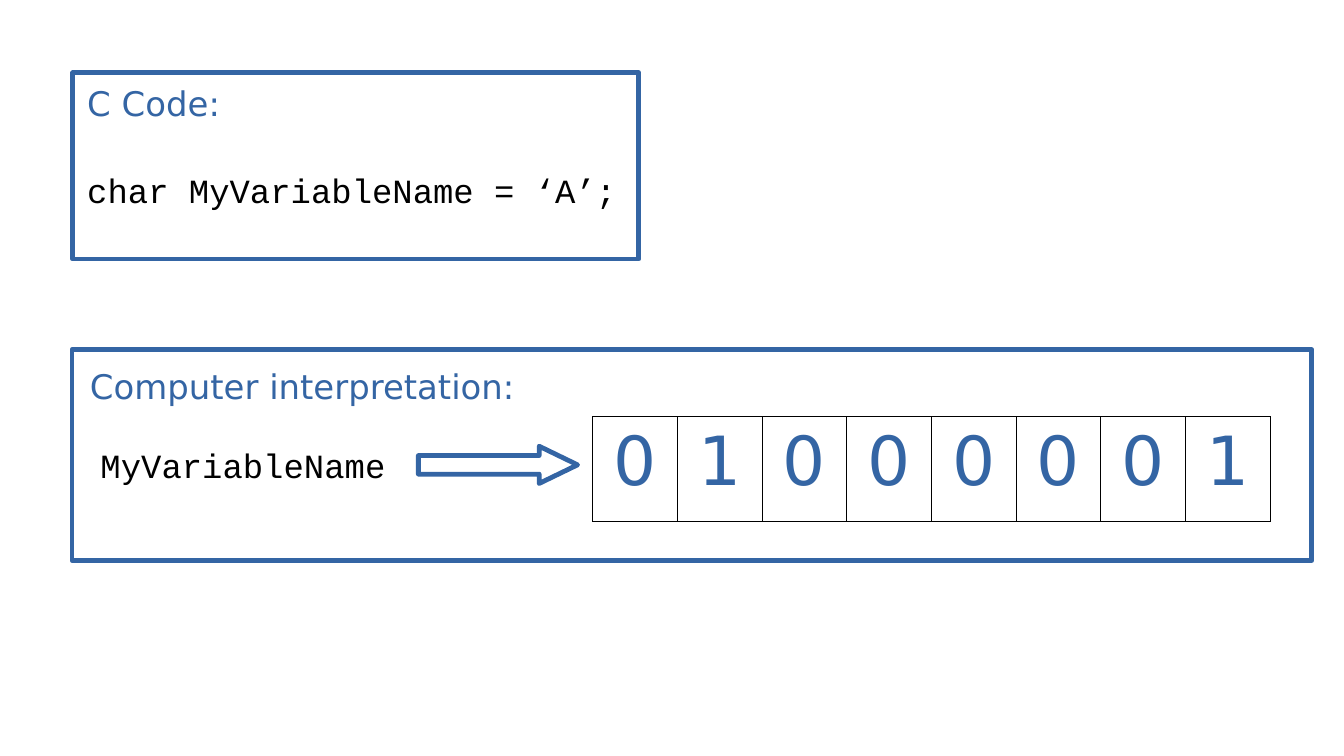
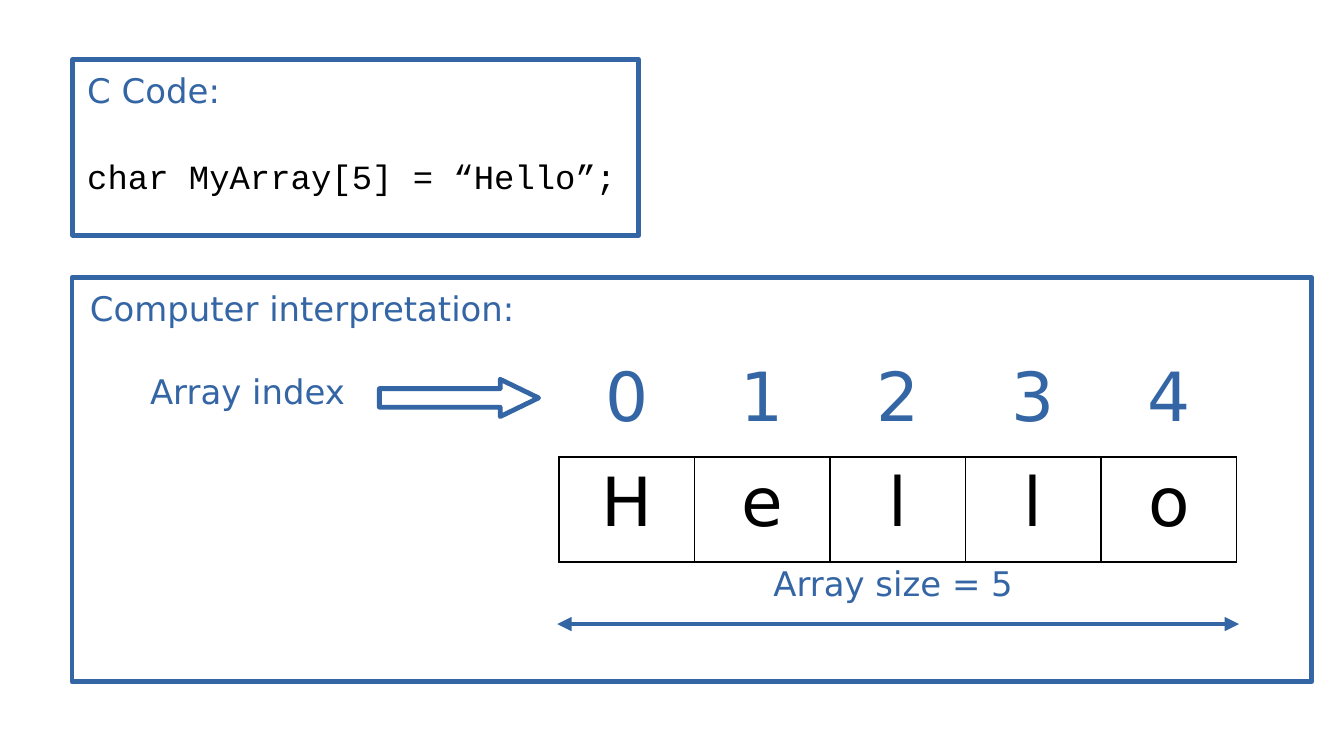
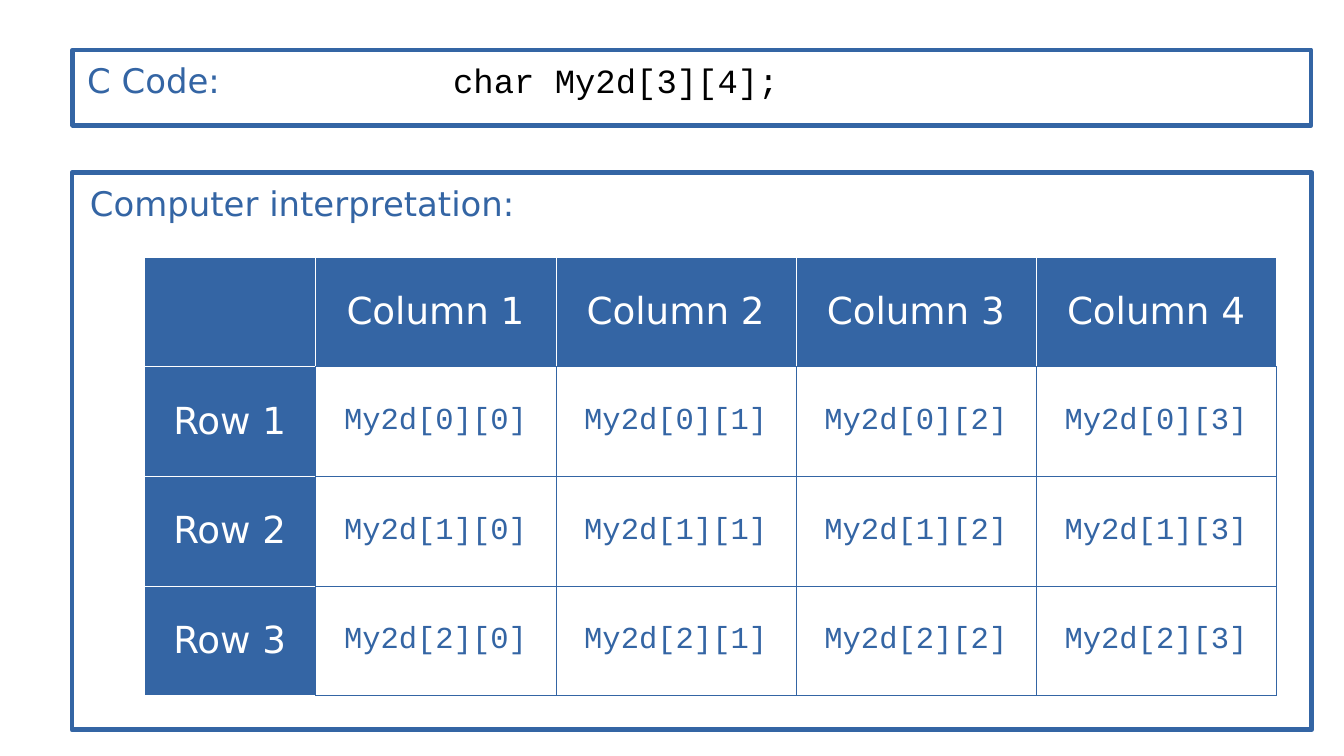
import dataclasses

import lxml.etree
import pptx
import pptx.dml.color
import pptx.enum.shapes
import pptx.enum.text
import pptx.oxml
import pptx.oxml.ns
import pptx.util

Pt = pptx.util.Pt
ALIGN = pptx.enum.text.PP_ALIGN
ANCHOR = pptx.enum.text.MSO_ANCHOR
SHAPE = pptx.enum.shapes.MSO_SHAPE

# Shared look
BLUE, BLACK, WHITE = "3465A4", "000000", "FFFFFF"
SANS, MONO = "DejaVu Sans", "Courier New"
LINE_WIDTH = 2.83
HAIRLINE = 0.06
PANEL_LEFT, PANEL_WIDTH = 42.5, 732


@dataclasses.dataclass
class CellStyle:
    color: str
    size: float
    border: str
    font: str = SANS
    border_width: float = HAIRLINE
    fill: str = ""
    anchor: object = ANCHOR.TOP


BIT = CellStyle(BLUE, 40, BLACK, border_width=0.57)
INDEX = CellStyle(BLUE, 40, WHITE)
LETTER = CellStyle(BLACK, 40, BLACK, border_width=1.19)
HEADING = CellStyle(WHITE, 22, WHITE, fill=BLUE, anchor=ANCHOR.MIDDLE)
ELEMENT = CellStyle(BLUE, 18, BLUE, font=MONO, anchor=ANCHOR.MIDDLE)


def rgb(value):
    return pptx.dml.color.RGBColor.from_string(value)


def add_child(parent, tag, **attributes):
    return lxml.etree.SubElement(parent, pptx.oxml.ns.qn(tag), **attributes)


# Basic parts
def add_run(paragraph, text, color=BLUE, font=SANS, size=20):
    run = paragraph.add_run()
    run.text = text
    run.font.name = font
    run.font.size = Pt(size)
    run.font.color.rgb = rgb(color)


def add_label(slide, box, text, color=BLUE, font=SANS, align=ALIGN.LEFT, anchor=ANCHOR.TOP):
    frame = slide.shapes.add_textbox(*map(Pt, box)).text_frame
    frame.word_wrap = True
    frame.vertical_anchor = anchor
    frame.paragraphs[0].alignment = align
    add_run(frame.paragraphs[0], text, color, font)


def add_outline(slide, kind, box):
    shape = slide.shapes.add_shape(kind, *map(Pt, box))
    shape.shadow.inherit = False
    shape.fill.background()
    shape.line.color.rgb = rgb(BLUE)
    shape.line.width = Pt(LINE_WIDTH)
    return shape


def add_block_arrow(slide, left, top):
    arrow = add_outline(slide, SHAPE.RIGHT_ARROW, (left, top, 94, 22))
    arrow.adjustments[0] = 0.5
    arrow.adjustments[1] = 1.03


def add_size_arrow(slide, left, right, y):
    arrow = slide.shapes.add_connector(
        pptx.enum.shapes.MSO_CONNECTOR.STRAIGHT, Pt(left), Pt(y), Pt(right), Pt(y))
    arrow.line.color.rgb = rgb(BLUE)
    arrow.line.width = Pt(LINE_WIDTH)
    line = arrow.line._get_or_add_ln()
    add_child(line, "a:headEnd", type="triangle")
    add_child(line, "a:tailEnd", type="triangle")
    add_child(arrow._element.spPr, "a:effectLst")


# Tables
def set_borders(cell, color, width):
    properties = cell._tc.get_or_add_tcPr()
    for position, side in enumerate(("L", "R", "T", "B")):
        line = add_child(properties, f"a:ln{side}", w=str(int(Pt(width))))
        add_child(add_child(line, "a:solidFill"), "a:srgbClr", val=color)
        properties.insert(position, line)


def fill_cell(cell, text, style):
    if style.fill:
        cell.fill.solid()
        cell.fill.fore_color.rgb = rgb(style.fill)
    else:
        cell.fill.background()
    set_borders(cell, style.border, style.border_width)
    cell.vertical_anchor = style.anchor
    if text:
        paragraph = cell.text_frame.paragraphs[0]
        paragraph.alignment = ALIGN.CENTER
        add_run(paragraph, text, style.color, style.font, style.size)


def add_grid(slide, left, top, widths, row_height, rows):
    """Each row is a list of (text, style) pairs."""
    table = slide.shapes.add_table(
        len(rows), len(widths), Pt(left), Pt(top),
        Pt(sum(widths)), Pt(row_height * len(rows))).table
    table.first_row = table.horz_banding = False
    for column, width in zip(table.columns, widths):
        column.width = Pt(width)
    for row_number, row in enumerate(rows):
        table.rows[row_number].height = Pt(row_height)
        for column_number, (text, style) in enumerate(row):
            fill_cell(table.cell(row_number, column_number), text, style)


def styled(texts, style):
    return [(text, style) for text in texts]


# Panels
def add_code_panel(slide, box, code, tab=0):
    """Heading and code, on one line when a tab position is given."""
    frame = add_outline(slide, SHAPE.RECTANGLE, box).text_frame
    frame.word_wrap = True
    frame.vertical_anchor = ANCHOR.TOP
    frame.margin_left = frame.margin_right = Pt(8.5)
    frame.margin_top = frame.margin_bottom = Pt(6)
    paragraph = frame.paragraphs[0]
    paragraph.alignment = ALIGN.LEFT
    add_run(paragraph, "C Code:\t" if tab else "C Code:")
    if tab:
        stops = add_child(paragraph._p.get_or_add_pPr(), "a:tabLst")
        add_child(stops, "a:tab", pos=str(int(Pt(tab))), algn="l")
    else:
        paragraph = frame.add_paragraph()
        paragraph.alignment = ALIGN.LEFT
        paragraph.space_before = Pt(27)
    add_run(paragraph, code, BLACK, MONO)


def add_interpretation_panel(slide, top, height, label_top=2.5):
    add_outline(slide, SHAPE.RECTANGLE, (PANEL_LEFT, top, PANEL_WIDTH, height))
    add_label(slide, (PANEL_LEFT + 3.5, top + label_top, 286, 40), "Computer interpretation:")


# Contents of the interpretation panels, relative to the panel corner
def add_variable(slide, left, top, name, bits):
    add_label(slide, (left - 22.5, top + 48.5, 247, 39.5), name, BLACK, MONO,
              ALIGN.CENTER, ANCHOR.MIDDLE)
    add_block_arrow(slide, left + 204.5, top + 57)
    add_grid(slide, left + 307.5, top + 39.5, [400 / len(bits)] * len(bits), 62,
             [styled(bits, BIT)])


def add_array(slide, left, top, letters):
    count = len(letters)
    add_label(slide, (left + 39, top + 51, 140, 34.5), "Array index")
    add_block_arrow(slide, left + 181.5, top + 60)
    add_grid(slide, left + 287.5, top + 44, [400 / count] * count, 62,
             [styled(map(str, range(count)), INDEX), styled(letters, LETTER)])
    add_label(slide, (left + 407, top + 164.5, 157, 34.5), f"Array size = {count}")
    add_size_arrow(slide, left + 286.5, left + 689, top + 204.5)


def add_matrix(slide, left, top, name, row_count, column_count):
    headings = [""] + [f"Column {column + 1}" for column in range(column_count)]
    rows = [styled(headings, HEADING)]
    for row in range(row_count):
        elements = [f"{name}[{row}][{column}]" for column in range(column_count)]
        rows.append([(f"Row {row + 1}", HEADING)] + styled(elements, ELEMENT))
    add_grid(slide, left + 42.5, top + 49.5, [101.2] + [141.8] * column_count, 64.8, rows)


# Slides
def build_variable_slide(slide):
    top = 206.5
    add_code_panel(slide, (43, 43, 334, 110), "char MyVariableName = ‘A’;")
    add_interpretation_panel(slide, top, 124.5, label_top=6)
    add_variable(slide, PANEL_LEFT, top, "MyVariableName", "01000001")


def build_array_slide(slide):
    top = 164
    add_code_panel(slide, (43, 35, 334, 104), "char MyArray[5] = “Hello”;")
    add_interpretation_panel(slide, top, 238.5)
    add_array(slide, PANEL_LEFT, top, "Hello")


def build_matrix_slide(slide):
    top = 102
    add_code_panel(slide, (43, 29.5, 731, 44.5), "char My2d[3][4];", tab=216)
    add_interpretation_panel(slide, top, 329)
    add_matrix(slide, PANEL_LEFT, top, "My2d", 3, 4)


def main():
    presentation = pptx.Presentation()
    presentation.slide_width = Pt(793.44)
    presentation.slide_height = Pt(446.4)
    blank_layout = presentation.slide_layouts[6]
    for build in (build_variable_slide, build_array_slide, build_matrix_slide):
        build(presentation.slides.add_slide(blank_layout))
    presentation.save("out.pptx")


if __name__ == "__main__":
    main()
